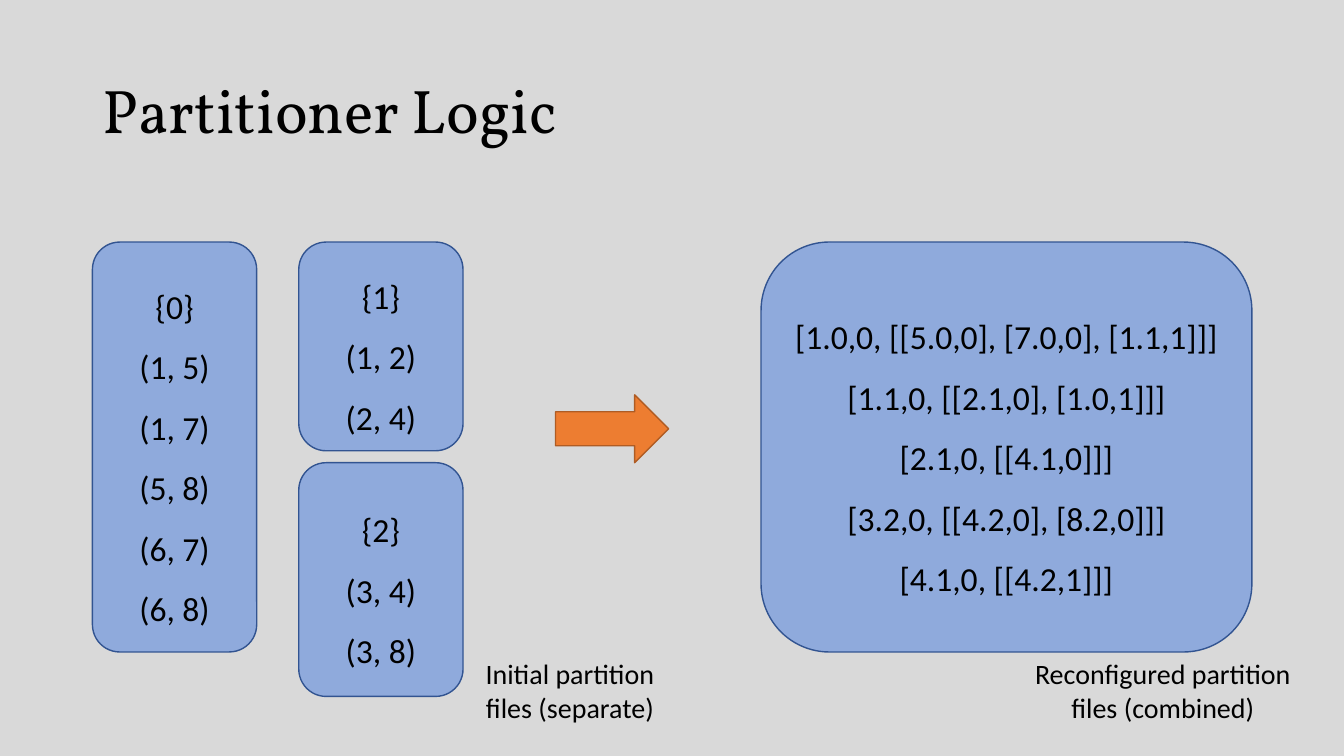
from pptx import Presentation
from pptx import util as u
from pptx.dml.color import RGBColor
from pptx.enum import shapes, text


def paint(shape, fill, line):
    """Give a shape a flat fill and a 1 pt outline, both as hex strings."""
    shape.shadow.inherit = False
    shape.fill.solid()
    shape.fill.fore_color.rgb = RGBColor.from_string(fill)
    shape.line.color.rgb = RGBColor.from_string(line)
    shape.line.width = u.Pt(1)


def write(frame, lines, size, font="Calibri", align=text.PP_ALIGN.CENTER, spacing=1.0):
    """Fill a text frame with one paragraph per line, in black."""
    frame.word_wrap = True
    frame.text = "\n".join(lines)
    for paragraph in frame.paragraphs:
        paragraph.alignment = align
        paragraph.line_spacing = spacing
        for run in paragraph.runs:
            run.font.size = u.Pt(size)
            run.font.name = font
            run.font.color.rgb = RGBColor.from_string("000000")


deck = Presentation()
deck.slide_width, deck.slide_height = u.Cm(33.87), u.Cm(19.05)
slide = deck.slides.add_slide(deck.slide_layouts[5])
slide.background.fill.solid()
slide.background.fill.fore_color.rgb = RGBColor.from_string("D9D9D9")

# Title
title = slide.shapes.title
title.left, title.top, title.width, title.height = map(u.Cm, (2.33, 1.01, 29.21, 3.68))
title.text_frame.vertical_anchor = text.MSO_ANCHOR.MIDDLE
write(title.text_frame, ["Partitioner Logic"], 44, "Vollkorn", text.PP_ALIGN.LEFT, 0.9)

# Partition files: left, top, width, height in cm, then the lines inside
top, file_width, full_height = 6.1, 4.14, 10.33
partitions = [
    (2.33, top, file_width, full_height,
     ["{0}", "(1, 5)", "(1, 7)", "(5, 8)", "(6, 7)", "(6, 8)"]),
    (7.53, top, file_width, 5.26, ["{1}", "(1, 2)", "(2, 4)"]),
    (7.53, 11.66, file_width, 5.89, ["{2}", "(3, 4)", "(3, 8)"]),
    (19.18, top, 12.37, full_height,
     ["[1.0,0, [[5.0,0], [7.0,0], [1.1,1]]]",
      "[1.1,0, [[2.1,0], [1.0,1]]]",
      "[2.1,0, [[4.1,0]]]",
      "[3.2,0, [[4.2,0], [8.2,0]]]",
      "[4.1,0, [[4.2,1]]]"]),
]
for *place, entries in partitions:
    partition = slide.shapes.add_shape(
        shapes.MSO_SHAPE.ROUNDED_RECTANGLE, *map(u.Cm, place))
    paint(partition, "8FAADC", "325491")
    partition.text_frame.vertical_anchor = text.MSO_ANCHOR.MIDDLE
    write(partition.text_frame, entries, 24, spacing=1.5)

# Arrow from the separate files to the combined one
arrow = slide.shapes.add_shape(
    shapes.MSO_SHAPE.RIGHT_ARROW, *map(u.Cm, (14, 9.95, 2.85, 1.71)))
paint(arrow, "ED7D31", "AF5C24")

# Captions below the files
for left, width, wording in [
    (11.81, 5.11, "Initial partition files (separate)"),
    (25.37, 7.87, "Reconfigured partition files (combined)"),
]:
    caption = slide.shapes.add_textbox(
        u.Cm(left), u.Cm(top + full_height), u.Cm(width), u.Cm(1.96))
    write(caption.text_frame, [wording], 20)
    caption.text_frame.auto_size = text.MSO_AUTO_SIZE.SHAPE_TO_FIT_TEXT

deck.save("out.pptx")
